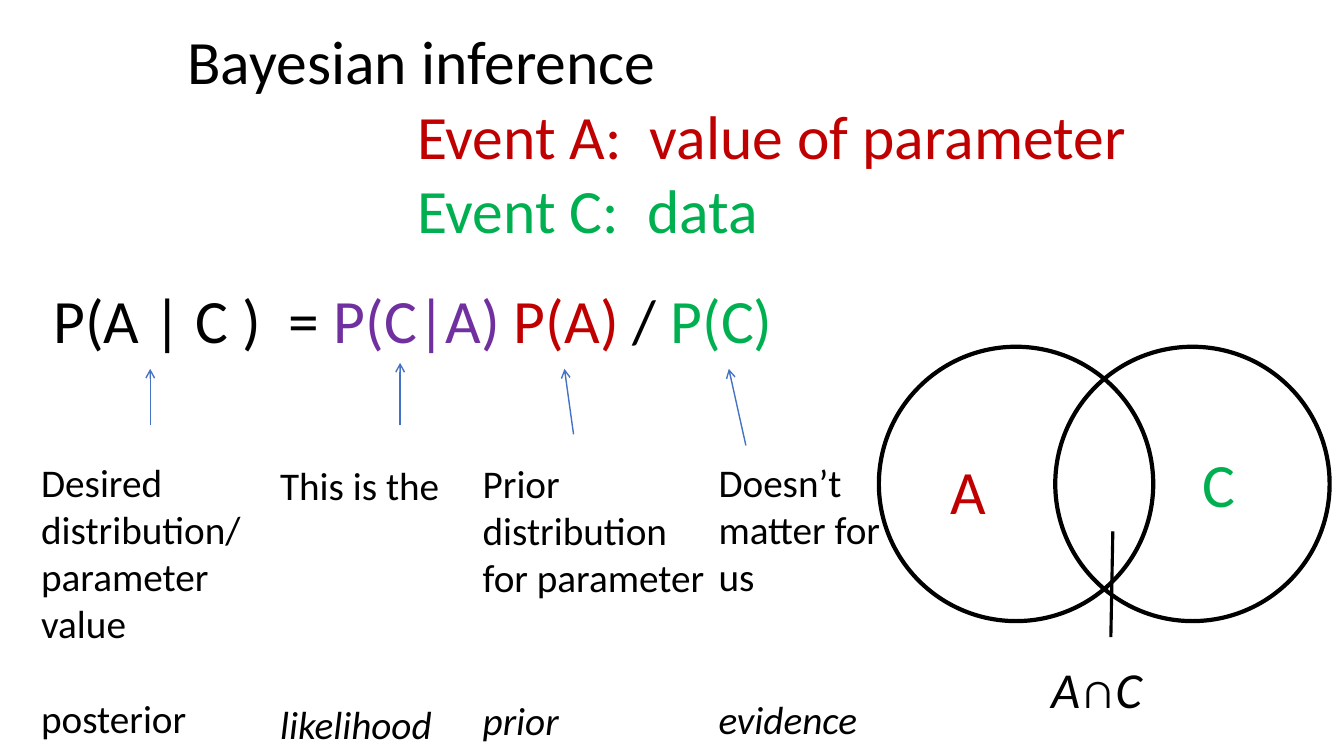
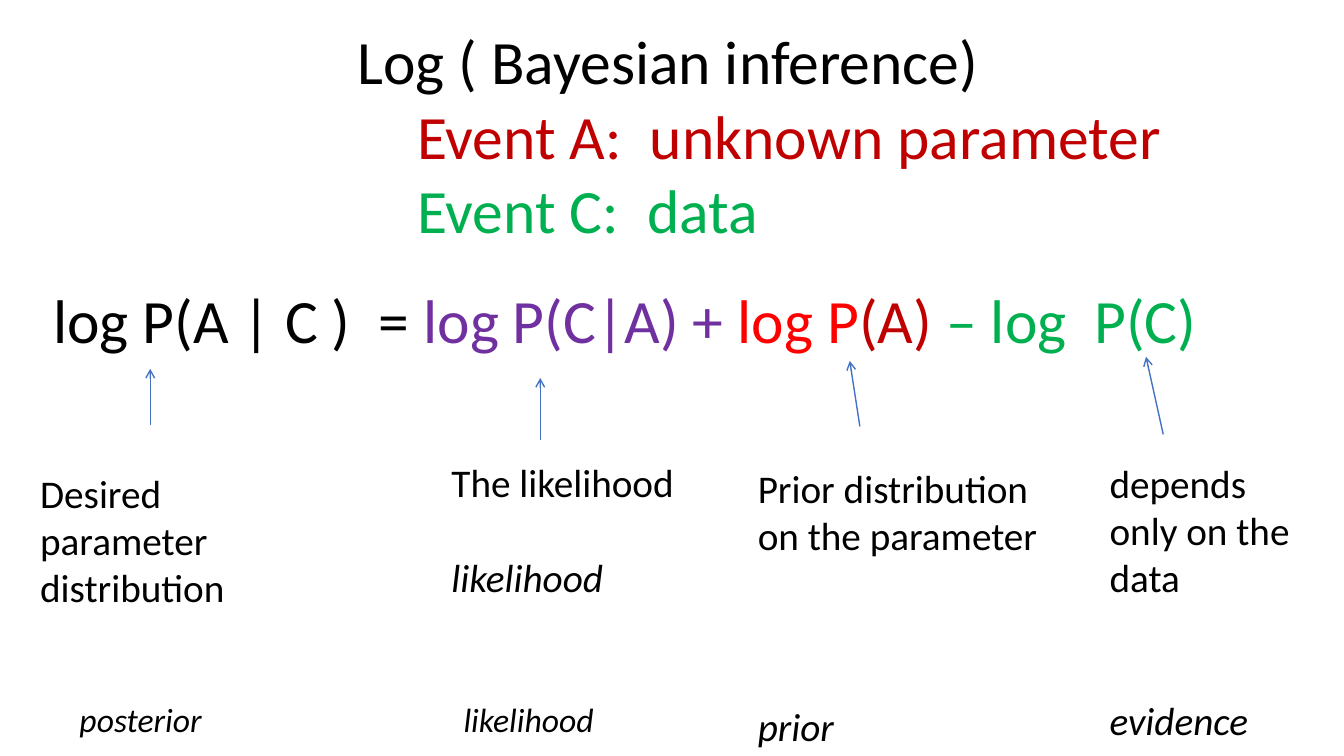
import pptx
import pptx.util
import pptx.dml.color
import pptx.enum.shapes
import pptx.enum.text
import pptx.oxml.ns
import lxml.etree

Pt = pptx.util.Pt
RGBColor = pptx.dml.color.RGBColor
MSO_SHAPE = pptx.enum.shapes.MSO_SHAPE
MSO_CONNECTOR = pptx.enum.shapes.MSO_CONNECTOR
PP_ALIGN = pptx.enum.text.PP_ALIGN
MSO_ANCHOR = pptx.enum.text.MSO_ANCHOR
qn = pptx.oxml.ns.qn

BLACK = RGBColor(0x00, 0x00, 0x00)
DARK_RED = RGBColor(0xC0, 0x00, 0x00)
RED = RGBColor(0xFF, 0x00, 0x00)
GREEN = RGBColor(0x00, 0xB0, 0x50)
PURPLE = RGBColor(0x70, 0x30, 0xA0)
BLUE = RGBColor(0x44, 0x72, 0xC4)

FONT = "Calibri"
BIG, NOTE, CAPTION = 44, 28, 24
LINE_HEIGHT = 1.22


def add_run(p, text, size, color=BLACK, italic=False):
    r = p.add_run()
    r.text = text
    formats = {"name": FONT, "size": Pt(size), "italic": italic}
    for key, value in formats.items():
        setattr(r.font, key, value)
    r.font.color.rgb = color


def add_text(s, box, paragraphs, size):
    tf = s.shapes.add_textbox(*map(Pt, box)).text_frame
    tf.word_wrap = True
    for i, runs in enumerate(paragraphs):
        p = tf.paragraphs[0] if i == 0 else tf.add_paragraph()
        for run in runs:
            add_run(p, run[0], size, *run[1:])
    return tf


def add_line(s, start, end, color, width, arrow=False):
    c = s.shapes.add_connector(MSO_CONNECTOR.STRAIGHT, *map(Pt, (*start, *end)))
    c.line.color.rgb = color
    c.line.width = Pt(width)
    if arrow:
        lxml.etree.SubElement(c.line._get_or_add_ln(), qn("a:tailEnd"), type="arrow")
    lxml.etree.SubElement(c._element.spPr, qn("a:effectLst"))


def add_heading(s, text, align, event_a):
    title = s.shapes.title
    place = {"left": 126.7, "top": 5, "width": 701.3, "height": 82}
    for key, value in place.items():
        setattr(title, key, Pt(value))
    title.text_frame.vertical_anchor = MSO_ANCHOR.MIDDLE
    p = title.text_frame.paragraphs[0]
    p.alignment = align
    p.line_spacing = 0.9
    add_run(p, text, BIG)
    events = [[("Event A:  " + event_a, DARK_RED)], [("Event C:  data", GREEN)]]
    add_text(s, (290.9, 66.2, 570, 114), events, BIG)


def add_formula(s, terms):
    add_text(s, (31, 198, 890, 61), [terms], BIG)


def add_note(s, box, lines, arrow, blanks=0, label=None, italic=True):
    x, y = box[:2]
    paragraphs = [[(line,)] for line in lines]
    if label:
        paragraphs.append([(label, BLACK, italic)])
    tf = add_text(s, box, paragraphs, NOTE)
    if label:
        tf.paragraphs[-1].space_before = Pt(round(blanks * NOTE * LINE_HEIGHT, 1))
    start, end = [(x + dx, y + dy) for dx, dy in arrow]
    add_line(s, start, end, BLUE, 1, arrow=True)


def add_venn(s, box):
    x, y, diameter, shift = box
    for left in (x, x + shift):
        sp = s.shapes.add_shape(MSO_SHAPE.OVAL, *map(Pt, (left, y, diameter, diameter)))
        sp.shadow.inherit = False
        sp.fill.background()
        sp.line.color.rgb = BLACK
        sp.line.width = Pt(3)
    add_text(s, (x + 224, y + 67, 50, 61), [[("C", GREEN)]], BIG)
    add_text(s, (x + 44, y + 72, 50, 61), [[("A", DARK_RED)]], BIG)
    overlap = [("A", BLACK, True), ("∩",), ("C", BLACK, True)]
    add_text(s, (x + 116, y + 219, 100, 51), [overlap], 36)
    add_line(s, (x + 165.7, y + 207.4), (x + 167.1, y + 131.8), BLACK, 2.25)


def build_bayes(s):
    add_heading(s, "Bayesian inference", PP_ALIGN.LEFT, "value of parameter")
    add_venn(s, (627.8, 247.7, 196, 126))
    add_formula(s, [("P(A | C )  = ",), ("P(C|A) ", PURPLE), ("P(A) ", DARK_RED),
                    ("/ ",), ("P(C)", GREEN)])
    add_note(s, (22.3, 324, 178, 211), ["Desired", "distribution/", "parameter value"],
             [(85, -20.2), (85, -60.5)], 1, "posterior", False)
    add_note(s, (193, 326.2, 140, 211), ["This is the"],
             [(92.8, -22.4), (92.8, -67)], 4, "likelihood")
    add_note(s, (337.7, 324.7, 184, 211), ["Prior", "distribution", "for parameter"],
             [(72, -14.4), (65.5, -61.2)], 2, "prior")
    add_note(s, (506.2, 324, 138, 211), ["Doesn’t", "matter for", "us"],
             [(26.6, -5.8), (14.4, -60.5)], 2, "evidence")


def build_log_bayes(s):
    add_heading(s, "Log ( Bayesian inference)", PP_ALIGN.CENTER, "unknown parameter")
    add_formula(s, [("log P(A | C )  = ",), ("log P(C|A) + ", PURPLE), ("log P", RED),
                    ("(A) ", DARK_RED), ("– log  P(C)", GREEN)])
    add_note(s, (21.6, 331.9, 178, 109), ["Desired", "parameter distribution"],
             [(85.7, -28.1), (85.7, -68.4)])
    add_note(s, (315.4, 324, 185, 109), ["The likelihood"],
             [(70.5, -9.4), (70.5, -54)], 1, "likelihood")
    add_note(s, (534.2, 328.3, 226, 211), ["Prior distribution", "on the parameter"],
             [(80, -23.7), (72.8, -70.5)], 3, "prior")
    add_note(s, (785.5, 324.7, 159, 211), ["depends only on the data"],
             [(45.4, -14.4), (33.1, -69.8)], 2, "evidence")
    for x, caption in ((324, "likelihood"), (49.7, "posterior")):
        add_text(s, (x, 495.4, 120, 36), [[(caption, BLACK, True)]], CAPTION)


def main():
    prs = pptx.Presentation()
    prs.slide_width, prs.slide_height = Pt(960), Pt(540)
    for build in (build_bayes, build_log_bayes):
        build(prs.slides.add_slide(prs.slide_layouts[5]))
    prs.save("out.pptx")


if __name__ == "__main__":
    main()
